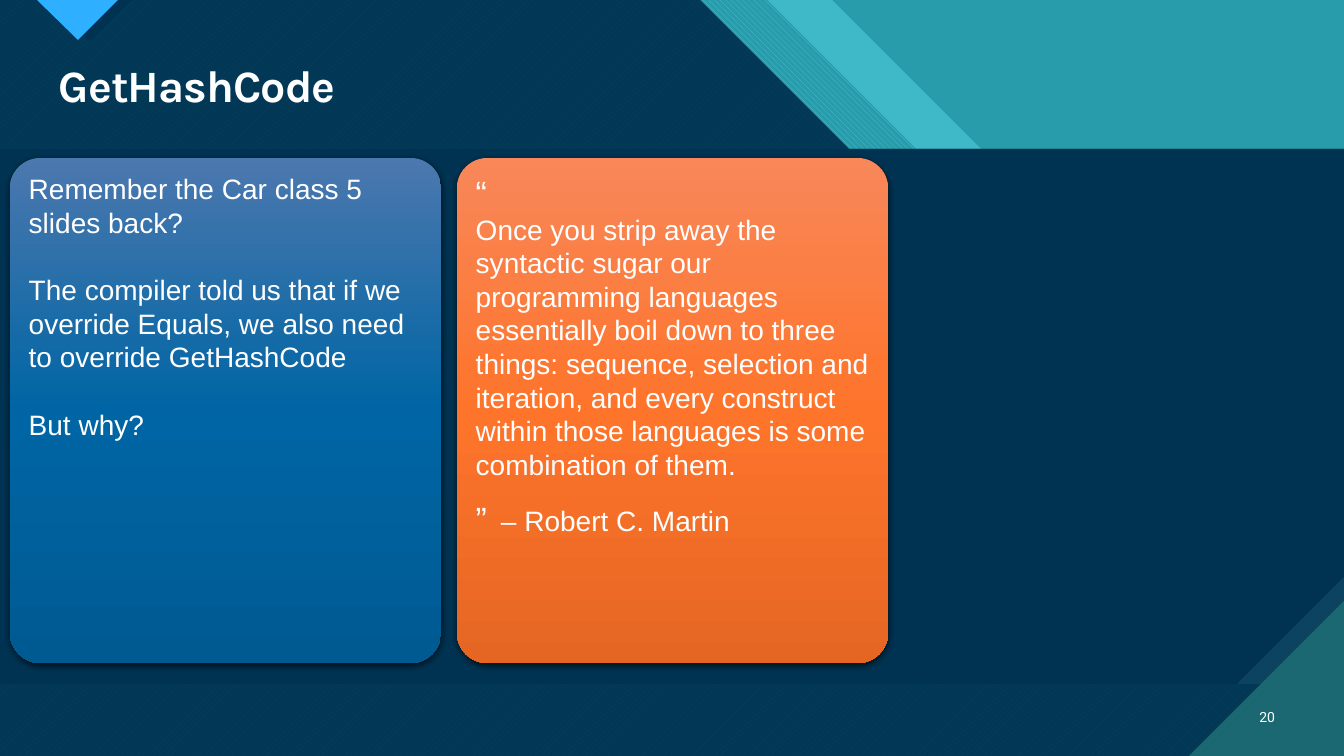
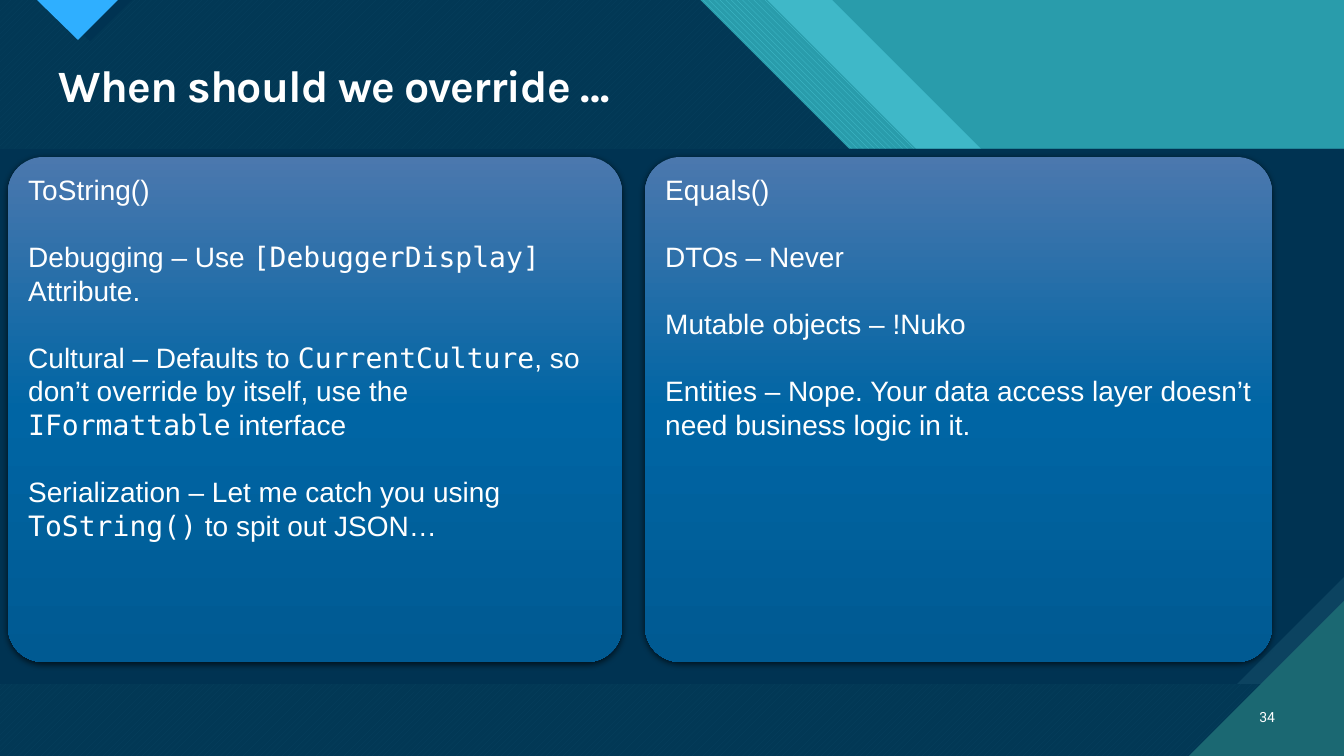
"""Build two dark blue slides with text cards under a banded title."""
from copy import deepcopy
from dataclasses import dataclass

from lxml import etree
from pptx import Presentation
from pptx.dml.color import RGBColor
from pptx.enum.dml import MSO_PATTERN
from pptx.enum.shapes import MSO_SHAPE
from pptx.enum.text import MSO_ANCHOR, PP_ALIGN
from pptx.oxml.ns import qn
from pptx.util import Emu, Pt

EMU_PER_PX = 12192000 / 1344
WIDTH, HEIGHT = 1344, 756
ROUNDED, SNIPPED = MSO_SHAPE.ROUNDED_RECTANGLE, MSO_SHAPE.SNIP_1_RECTANGLE
DOWN_DIAG, UP_DIAG = MSO_PATTERN.WIDE_DOWNWARD_DIAGONAL, MSO_PATTERN.WIDE_UPWARD_DIAGONAL
TOP, MIDDLE = MSO_ANCHOR.TOP, MSO_ANCHOR.MIDDLE
LEFT, RIGHT = PP_ALIGN.LEFT, PP_ALIGN.RIGHT

TEAL, AQUA, DEEP_TEAL = "299CAB", "47C3D3", "1B6872"
NAVY, SLATE, SKY, WHITE = "003352", "0C4360", "2FAFFF", "FFFFFF"
BLUE_FADE = ("4B78AE", "0065A4", "005A92")
ORANGE_FADE = ("F88759", "FE742B", "E56623")
BODY, MONO, HEADING, NUMBER = "Arial", "DejaVu Sans Mono", "Karla", "Roboto"
LINE_FACTOR = 1.2


@dataclass(frozen=True)
class Run:
    text: str
    size: int = 20
    font: str = BODY


@dataclass(frozen=True)
class Layer:
    points: tuple
    color: str
    alpha: int = 100
    pattern: object = None
    back: str = ""


@dataclass(frozen=True)
class Card:
    box: tuple
    fade: tuple
    paragraphs: tuple
    gap: int = 24


@dataclass(frozen=True)
class Page:
    title: str
    number: int
    cards: tuple


def px(n: float) -> Emu:
    return Emu(round(n * EMU_PER_PX))


def rgb(color: str) -> RGBColor:
    return RGBColor.from_string(color)


def sweep(edge: int) -> tuple:
    return ((0, 0), (edge, 0), (edge + 299, 299), (WIDTH, 299),
            (WIDTH, HEIGHT), (0, HEIGHT))


SWEEPS = (
    Layer(sweep(832), AQUA, 74),
    Layer(sweep(767), AQUA, pattern=DOWN_DIAG, back=TEAL),
    Layer(sweep(700), AQUA, pattern=UP_DIAG, back=DEEP_TEAL),
    Layer(sweep(700), NAVY, 90),
    Layer(((48, 0), (132, 0), (90, 41)), NAVY),
    Layer(((37, 0), (118, 0), (78, 40)), SKY),
)
CORNER = Layer(((1189, HEIGHT), (WIDTH, HEIGHT), (WIDTH, 601)), DEEP_TEAL)


def add_layer(slide, layer: Layer) -> None:
    builder = slide.shapes.build_freeform(*layer.points[0], scale=EMU_PER_PX)
    builder.add_line_segments(layer.points[1:], close=True)
    sp = builder.convert_to_shape()
    sp.shadow.inherit = False
    sp.line.fill.background()
    if layer.pattern:
        sp.fill.patterned()
        sp.fill.pattern = layer.pattern
        sp.fill.fore_color.rgb = rgb(layer.color)
        sp.fill.back_color.rgb = rgb(layer.back)
        return
    sp.fill.solid()
    sp.fill.fore_color.rgb = rgb(layer.color)
    if layer.alpha < 100:
        color = sp._element.spPr.find(".//" + qn("a:srgbClr"))
        etree.SubElement(color, qn("a:alpha"), val=str(layer.alpha * 1000))


def add_band(slide, color: str, snip: float) -> None:
    sp = slide.shapes.add_shape(SNIPPED, px(0), px(149), px(WIDTH), px(535))
    sp.adjustments[0] = snip
    sp._element.spPr.xfrm.set("flipV", "1")
    sp.shadow.inherit = False
    sp.line.fill.background()
    sp.fill.solid()
    sp.fill.fore_color.rgb = rgb(color)


def add_run(p, run: Run, bold: bool = False):
    r = p.add_run()
    r.text = run.text
    r.font.size = Pt(run.size)
    r.font.name = run.font
    r.font.bold = bold
    r.font.color.rgb = rgb(WHITE)
    return r


def add_label(slide, box: tuple, run: Run, align=LEFT, anchor=TOP, bold: bool = False):
    tf = slide.shapes.add_textbox(*map(px, box)).text_frame
    tf.word_wrap = True
    tf.vertical_anchor = anchor
    p = tf.paragraphs[0]
    p.alignment = align
    return p, add_run(p, run, bold)


def add_card(slide, card: Card) -> None:
    sp = slide.shapes.add_shape(ROUNDED, *map(px, card.box))
    sp.adjustments[0] = 0.07
    sp.line.fill.background()
    sp.fill.gradient()
    sp.fill.gradient_angle = 270
    stops = sp._element.spPr.find(".//" + qn("a:gsLst"))
    stops.append(deepcopy(stops[-1]))
    for i, (stop, color) in enumerate(zip(sp.fill.gradient_stops, card.fade)):
        stop.position = i / 2
        stop.color.rgb = rgb(color)
    add_shadow(sp)
    tf = sp.text_frame
    tf.word_wrap = True
    tf.vertical_anchor = TOP
    for i, runs in enumerate(card.paragraphs):
        p = tf.add_paragraph() if i else tf.paragraphs[0]
        p.alignment = LEFT
        p.line_spacing = Pt(max(run.size for run in runs) * LINE_FACTOR)
        p.space_before = Pt(card.gap if i else 0)
        for run in runs:
            add_run(p, run)


def add_shadow(sp) -> None:
    sp.shadow.inherit = False
    effects = sp._element.spPr.find(qn("a:effectLst"))
    outer = etree.SubElement(effects, qn("a:outerShdw"), blurRad=str(Pt(4.5)),
                             dist=str(Pt(1.5)), dir="5400000", rotWithShape="0")
    color = etree.SubElement(outer, qn("a:srgbClr"), val="000000")
    etree.SubElement(color, qn("a:alpha"), val="63000")


def add_page(prs, page: Page) -> None:
    slide = prs.slides.add_slide(prs.slide_layouts[6])
    slide.background.fill.solid()
    slide.background.fill.fore_color.rgb = rgb(TEAL)
    for layer in SWEEPS:
        add_layer(slide, layer)
    add_band(slide, SLATE, 0)
    add_band(slide, NAVY, 0.2)
    add_layer(slide, CORNER)
    p, r = add_label(slide, (49, 59, 1236, 59), Run(page.title, 32, HEADING), bold=True)
    p.line_spacing = 0.9
    r.font._element.set("spc", "-70")
    add_label(slide, (1241, 697, 44, 40), Run(str(page.number), 10, NUMBER), RIGHT, MIDDLE)
    for card in page.cards:
        add_card(slide, card)


PAGES = (
    Page("GetHashCode", 20, (
        Card((10, 158, 431, 505), BLUE_FADE, (
            (Run("Remember the Car class 5 slides back?"),),
            (Run("The compiler told us that if we override Equals, "
                 "we also need to override GetHashCode"),),
            (Run("But why?"),),
        )),
        Card((457, 158, 431, 505), ORANGE_FADE, (
            (Run("“", 24),),
            (Run("Once you strip away the syntactic sugar our programming languages "
                 "essentially boil down to three things: sequence, selection and "
                 "iteration, and every construct within those languages is some "
                 "combination of them."),),
            (Run("”", 24), Run(" ", 36), Run("– Robert C. Martin")),
        ), gap=0),
    )),
    Page("When should we override …", 34, (
        Card((8, 157, 614, 505), BLUE_FADE, (
            (Run("ToString()"),),
            (Run("Debugging – Use "), Run("[DebuggerDisplay]", font=MONO),
             Run(" Attribute.")),
            (Run("Cultural – Defaults to "), Run("CurrentCulture", font=MONO),
             Run(", so don’t override by itself, use the "),
             Run("IFormattable", font=MONO), Run(" interface")),
            (Run("Serialization – Let me catch you using "),
             Run("ToString()", font=MONO), Run(" to spit out JSON…")),
        )),
        Card((645, 157, 627, 505), BLUE_FADE, (
            (Run("Equals()"),),
            (Run("DTOs – Never"),),
            (Run("Mutable objects – !Nuko"),),
            (Run("Entities – Nope. Your data access layer doesn’t "
                 "need business logic in it."),),
        )),
    )),
)


def main() -> None:
    prs = Presentation()
    prs.slide_width, prs.slide_height = px(WIDTH), px(HEIGHT)
    for page in PAGES:
        add_page(prs, page)
    prs.save("out.pptx")


if __name__ == "__main__":
    main()
